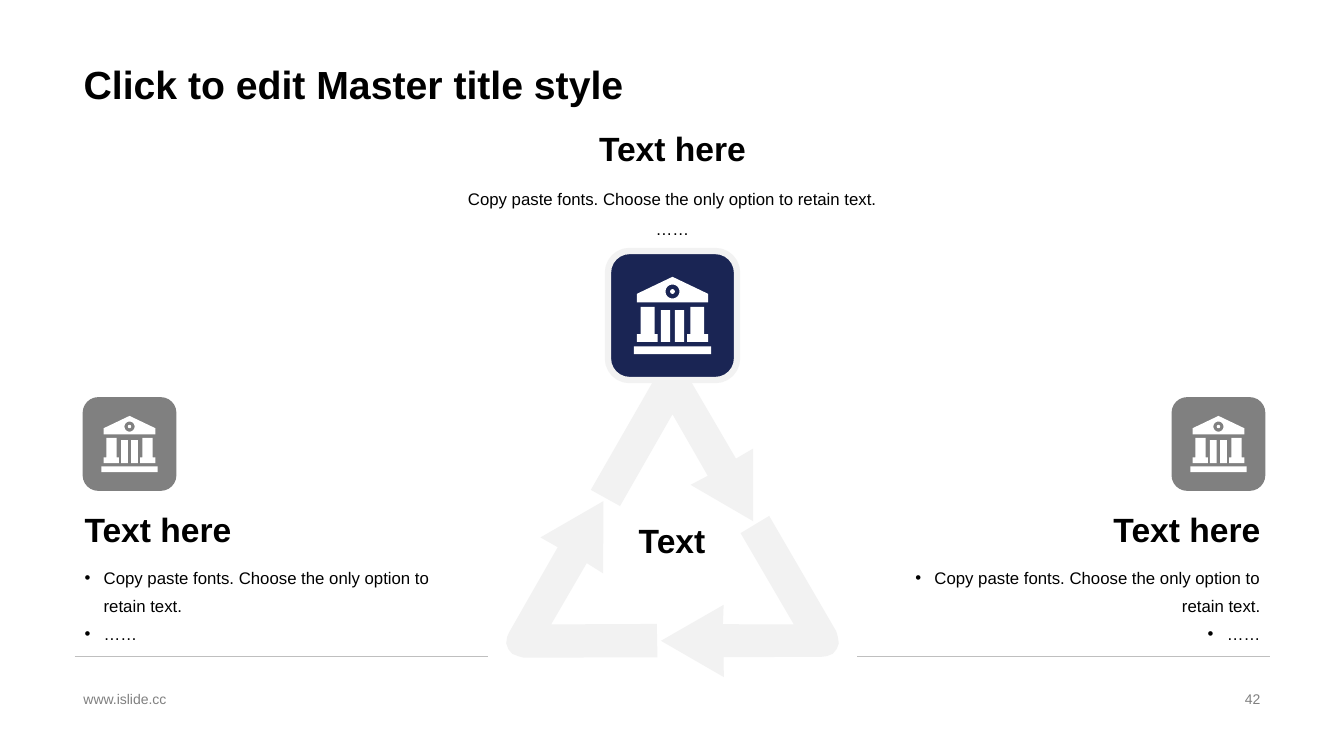
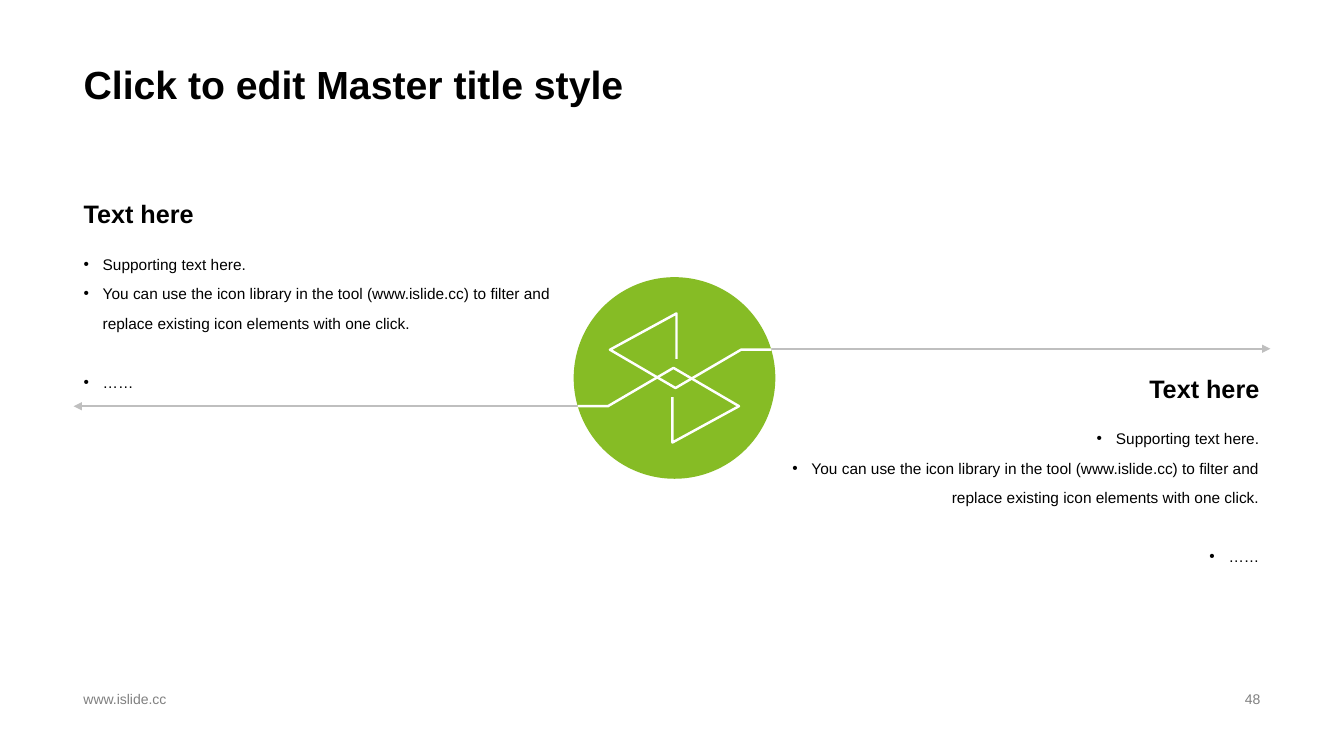
from dataclasses import dataclass
from math import cos, pi, radians, sin

from lxml.etree import SubElement
from pptx import Presentation
from pptx.dml.color import RGBColor
from pptx.enum.shapes import MSO_CONNECTOR, MSO_SHAPE
from pptx.enum.text import MSO_ANCHOR as Anchor, MSO_AUTO_SIZE, PP_ALIGN as Align
from pptx.oxml.ns import qn
from pptx.util import Inches, Pt


@dataclass(frozen=True)
class Theme:
    font: str = "Arial"
    black: str = "000000"
    white: str = "FFFFFF"
    gray: str = "808080"
    rule: str = "BFBFBF"
    pale: str = "F2F2F2"
    navy: str = "1A2554"
    green: str = "86BC25"
    title_size: float = 28
    heading_size: float = 24
    subheading_size: float = 18
    body_size: float = 12
    support_size: float = 11
    footer_size: float = 10


THEME = Theme()
TITLE = "Click to edit Master title style"
HEADING = "Text here"
BODY = ["Copy paste fonts. Choose the only option to retain text.", "……"]
SUPPORT = [
    "Supporting text here.",
    "You can use the icon library in the tool (www.islide.cc) to filter and "
    "replace existing icon elements with one click.",
    "……",
]


# Text
def add_bullet(paragraph):
    properties = paragraph._p.get_or_add_pPr()
    properties.set("marL", str(Inches(0.19)))
    properties.set("indent", str(-Inches(0.19)))
    SubElement(properties, qn("a:buFont")).set("typeface", THEME.font)
    SubElement(properties, qn("a:buChar")).set("char", "•")


def fill_frame(frame, lines, size, color=THEME.black, bold=False, align=Align.LEFT,
               anchor=Anchor.TOP, spacing=1.0, bulleted=False, last_gap=0):
    frame.word_wrap = True
    frame.auto_size = MSO_AUTO_SIZE.NONE
    frame.vertical_anchor = anchor
    for index, line in enumerate(lines):
        paragraph = frame.add_paragraph() if index else frame.paragraphs[0]
        paragraph.text = line
        paragraph.alignment = align
        paragraph.line_spacing = spacing
        if last_gap and index == len(lines) - 1:
            paragraph.space_before = Pt(last_gap)
        if bulleted:
            add_bullet(paragraph)
        font = paragraph.font
        font.name, font.size, font.bold = THEME.font, Pt(size), bold
        font.color.rgb = RGBColor.from_string(color)


def add_text(slide, box, lines, size, **style):
    shape = slide.shapes.add_textbox(*map(Inches, box))
    fill_frame(shape.text_frame, lines, size, **style)


def add_heading(slide, box, align):
    add_text(slide, box, [HEADING], THEME.heading_size, bold=True, align=align,
             anchor=Anchor.BOTTOM, spacing=0.9)


# Shapes and lines
def paint(shape, fill=None, line=None, width=0):
    shape.shadow.inherit = False
    if fill:
        shape.fill.solid()
        shape.fill.fore_color.rgb = RGBColor.from_string(fill)
    else:
        shape.fill.background()
    if line:
        shape.line.color.rgb = RGBColor.from_string(line)
        shape.line.width = Pt(width)
    else:
        shape.line.fill.background()


def add_preset(slide, kind, box, **style):
    shape = slide.shapes.add_shape(kind, *map(Inches, box))
    paint(shape, **style)


def add_outline(slide, contours, close=True, **style):
    contours = [[(Inches(x), Inches(y)) for x, y in contour] for contour in contours]
    builder = slide.shapes.build_freeform(*contours[0][0])
    for index, (start, *rest) in enumerate(contours):
        if index:
            builder.move_to(*start)
        builder.add_line_segments(rest, close=close)
    paint(builder.convert_to_shape(), **style)


def add_line(slide, start, end, width, arrow=False):
    connector = slide.shapes.add_connector(
        MSO_CONNECTOR.STRAIGHT, *map(Inches, start + end))
    connector.line.color.rgb = RGBColor.from_string(THEME.rule)
    connector.line.width = Pt(width)
    if arrow:
        SubElement(connector.line._get_or_add_ln(), qn("a:tailEnd")).set("type", "triangle")
    SubElement(connector._element.spPr, qn("a:effectLst"))


# Geometry
def rotate(points, center, degrees):
    cx, cy = center
    c, s = cos(radians(degrees)), sin(radians(degrees))
    return [(cx + (x - cx) * c - (y - cy) * s, cy + (x - cx) * s + (y - cy) * c)
            for x, y in points]


def circle(cx, cy, radius, steps=32):
    return [(cx + radius * cos(2 * pi * i / steps), cy + radius * sin(2 * pi * i / steps))
            for i in range(steps)]


def rectangle(left, top, right, bottom):
    return [(left, top), (right, top), (right, bottom), (left, bottom)]


def temple_contours():
    """Outline of the bank icon in a unit square."""
    pillar = [(0.09, 0.39), (0.27, 0.39), (0.27, 0.74), (0.31, 0.74),
              (0.31, 0.84), (0.04, 0.84), (0.04, 0.74), (0.09, 0.74)]
    column = rectangle(0.35, 0.43, 0.47, 0.84)
    roof = [(0.5, 0), (0.96, 0.22), (0.96, 0.33), (0.04, 0.33), (0.04, 0.22)]
    mirrored = [[(1 - x, y) for x, y in part] for part in (pillar, column)]
    return [rectangle(0, 0.9, 1, 1), pillar, column, *mirrored, roof,
            circle(0.5, 0.19, 0.09), circle(0.5, 0.19, 0.03)]


def add_bank_tile(slide, left, top, size, **style):
    add_preset(slide, MSO_SHAPE.ROUNDED_RECTANGLE, (left, top, size, size), **style)
    icon, margin = size * 0.6, size * 0.2
    add_outline(slide, [[(left + margin + x * icon, top + margin + y * icon)
                         for x, y in contour] for contour in temple_contours()],
                fill=THEME.white)


# Slides
def add_slide(presentation, number):
    slide = presentation.slides.add_slide(presentation.slide_layouts[5])
    title = slide.shapes.title
    title.left, title.top, title.width, title.height = map(Inches, (0.73, 0, 11.87, 1.12))
    fill_frame(title.text_frame, [TITLE], THEME.title_size, bold=True,
               anchor=Anchor.BOTTOM, spacing=0.9)
    for box, text, align in (((0.73, 6.82, 4.53, 0.23), "www.islide.cc", Align.LEFT),
                             ((9.42, 6.82, 3.18, 0.23), number, Align.RIGHT)):
        add_text(slide, box, [text], THEME.footer_size, color=THEME.gray,
                 align=align, anchor=Anchor.MIDDLE)
    return slide


def build_cycle_slide(presentation):
    slide = add_slide(presentation, "42")

    # Ring of three arrows
    arrow = [(6.67, 4.11), (7.02, 4.72), (6.85, 4.81), (7.47, 5.17), (7.47, 4.45),
             (7.3, 4.55), (6.81, 3.71), (6.78, 3.67), (6.73, 3.63), (6.67, 3.62),
             (6.61, 3.63), (6.56, 3.67), (6.52, 3.71), (5.86, 4.86), (6.15, 5.02)]
    for turn in (0, 120, 240):
        add_outline(slide, [rotate(arrow, (6.67, 5.5), turn)], fill=THEME.pale)
    add_text(slide, (5.37, 5.05, 2.59, 0.62), ["Text"], THEME.heading_size, bold=True,
             align=Align.CENTER, anchor=Anchor.MIDDLE)

    # Side blocks
    for left, tile_left, rule_left, align in ((0.74, 0.82, 0.74, Align.LEFT),
                                              (8.67, 11.62, 8.5, Align.RIGHT)):
        add_heading(slide, (left, 5.02, 3.93, 0.48), align)
        add_text(slide, (left, 5.5, 3.93, 0.95), BODY, THEME.body_size,
                 align=align, spacing=1.4, bulleted=True)
        add_line(slide, (rule_left, 6.51), (rule_left + 4.1, 6.51), 0.25)
        add_bank_tile(slide, tile_left, 3.94, 0.93, fill=THEME.gray)

    # Top block
    add_heading(slide, (0.74, 1.24, 11.86, 0.48), Align.CENTER)
    add_text(slide, (0.74, 1.72, 11.86, 0.95), BODY, THEME.body_size,
             align=Align.CENTER, spacing=1.5)
    add_bank_tile(slide, 6.03, 2.49, 1.28, fill=THEME.navy, line=THEME.pale, width=4.5)


def build_opposites_slide(presentation):
    slide = add_slide(presentation, "48")

    # Arrows to both sides
    add_line(slide, (5.79, 4.03), (0.73, 4.03), 1.75, arrow=True)
    add_line(slide, (7.65, 3.46), (12.6, 3.46), 1.75, arrow=True)

    # Disc with two interlaced bends
    add_preset(slide, MSO_SHAPE.OVAL, (5.69, 2.75, 2, 2), fill=THEME.green)
    bend = [(5.73, 4.03), (6.03, 4.03), (6.68, 3.65), (7.33, 4.03), (6.67, 4.39), (6.67, 3.94)]
    for turn in (0, 180):
        add_outline(slide, [rotate(bend, (6.69, 3.75), turn)], close=False,
                    line=THEME.white, width=1.75)

    # Text blocks
    for left, top, align in ((0.73, 1.92, Align.LEFT), (7.68, 3.65, Align.RIGHT)):
        add_text(slide, (left, top, 4.91, 0.45), [HEADING], THEME.subheading_size,
                 bold=True, align=align)
        add_text(slide, (left, top + 0.45, 4.91, 1.66), SUPPORT, THEME.support_size,
                 align=align, spacing=1.6, bulleted=True, last_gap=21)


def main():
    presentation = Presentation()
    presentation.slide_width, presentation.slide_height = Inches(13.33), Inches(7.5)
    build_cycle_slide(presentation)
    build_opposites_slide(presentation)
    presentation.save("out.pptx")


if __name__ == "__main__":
    main()
